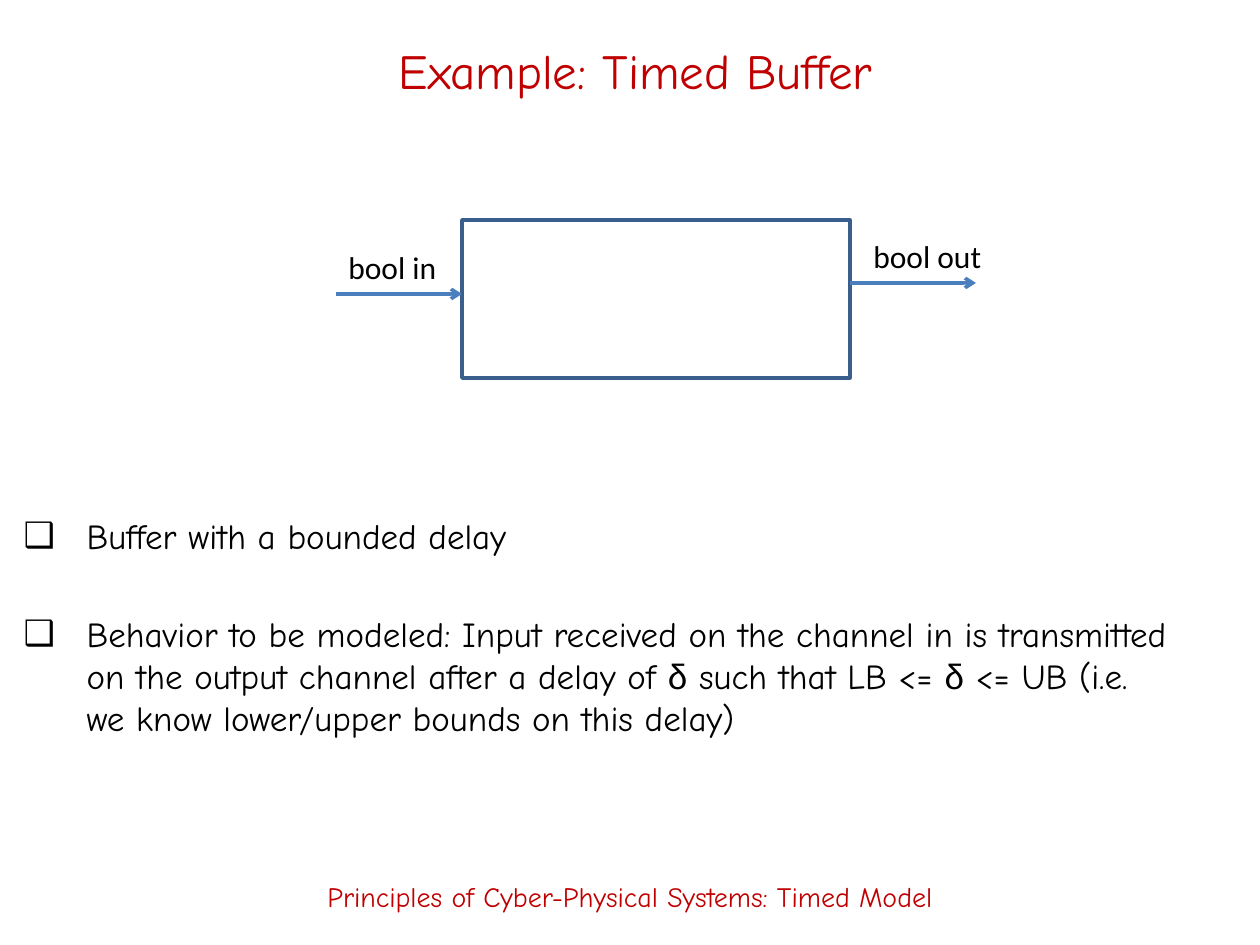
import pptx
import pptx.util
import pptx.dml.color
import pptx.enum.shapes
import pptx.enum.text
import pptx.oxml
import pptx.oxml.ns

TITLE = "Example: Timed Buffer"
FOOTER = "Principles of Cyber-Physical Systems: Timed Model"
BULLETS = [
    ["Buffer with a bounded delay"],
    [
        "Behavior to be modeled: Input received on the channel in is transmitted "
        "on the output channel after a delay of ",
        "δ",
        " such that LB <= ",
        "δ",
        " <= UB (i.e. we know lower/upper bounds on this delay)",
    ],
]
BUFFER = (462, 220, 388, 158)
ARROW_LENGTH = 126
PORTS = [
    {"label": "bool in", "arrow": (BUFFER[0] - ARROW_LENGTH, 294), "box": (336, 242, 115, 50)},
    {"label": "bool out", "arrow": (BUFFER[0] + BUFFER[2], 283), "box": (861, 231, 135, 50)},
]
THEME = {
    "accent": "C00000", "text": "000000", "outline": "3A5F8C", "arrow": "4B7EBC",
    "font": "Comic Neue", "label_font": "Calibri", "symbol_font": "Arial",
    "title": 28, "body": 20, "label": 18, "footer": 16, "line": 2,
    "bullet": "❑", "indent": 63, "bullet_gap": 32,
}
SCALE = 914400 // 126
MIDDLE = pptx.enum.text.MSO_ANCHOR.MIDDLE
CENTER = pptx.enum.text.PP_ALIGN.CENTER


def px(*lengths):
    return [pptx.util.Emu(length * SCALE) for length in lengths]


def color(name):
    return pptx.dml.color.RGBColor.from_string(THEME[name])


def style(span, size, font="font", ink="text"):
    span.font.size = pptx.util.Pt(THEME[size])
    span.font.name = THEME[font]
    span.font.color.rgb = color(ink)


def place(shape, area):
    shape.left, shape.top, shape.width, shape.height = px(*area)


def add_child(parent, tag, **attributes):
    child = pptx.oxml.parse_xml(f"<a:{tag} {pptx.oxml.ns.nsdecls('a')}/>")
    for name, value in attributes.items():
        child.set(name, str(value))
    parent.append(child)


def write_line(shape, text, size):
    frame = shape.text_frame
    frame.text = text
    frame.word_wrap = True
    frame.auto_size = pptx.enum.text.MSO_AUTO_SIZE.NONE
    frame.vertical_anchor = MIDDLE
    para = frame.paragraphs[0]
    para.alignment = CENTER
    style(para.runs[0], size, ink="accent")


def write_bullets(shape):
    frame = shape.text_frame
    frame.auto_size = pptx.enum.text.MSO_AUTO_SIZE.NONE
    for index, spans in enumerate(BULLETS):
        para = frame.paragraphs[0] if index == 0 else frame.add_paragraph()
        para.space_before = pptx.util.Pt(THEME["bullet_gap"] if index else 0)
        properties = para._p.get_or_add_pPr()
        indent = THEME["indent"] * SCALE
        properties.set("marL", str(indent))
        properties.set("indent", str(-indent))
        add_child(properties, "buChar", char=THEME["bullet"])
        for text in spans:
            span = para.add_run()
            span.text = text
            style(span, "body", "symbol_font" if text == "δ" else "font")


def add_port(page, port):
    left, top = port["arrow"]
    arrow = page.shapes.add_connector(
        pptx.enum.shapes.MSO_CONNECTOR.STRAIGHT, *px(left, top, left + ARROW_LENGTH, top))
    arrow.line.color.rgb = color("arrow")
    arrow.line.width = pptx.util.Pt(THEME["line"])
    add_child(arrow.line._get_or_add_ln(), "tailEnd", type="arrow")
    add_child(arrow._element.spPr, "effectLst")
    box = page.shapes.add_textbox(*px(*port["box"]))
    box.text_frame.word_wrap = False
    box.text_frame.text = port["label"]
    style(box.text_frame.paragraphs[0].runs[0], "label", "label_font")


def main():
    deck = pptx.Presentation()
    deck.slide_width, deck.slide_height = px(1260, 945)
    page = deck.slides.add_slide(deck.slide_layouts[1])

    title, body = page.placeholders
    place(title, (95, 21, 1081, 98))
    write_line(title, TITLE, "title")
    place(body, (11, 508, 1176, 363))
    write_bullets(body)

    buffer = page.shapes.add_shape(pptx.enum.shapes.MSO_SHAPE.RECTANGLE, *px(*BUFFER))
    buffer.shadow.inherit = False
    buffer.fill.background()
    buffer.line.color.rgb = color("outline")
    buffer.line.width = pptx.util.Pt(THEME["line"])
    for port in PORTS:
        add_port(page, port)

    footer = page.shapes.add_textbox(*px(0, 847, 1260, 98))
    write_line(footer, FOOTER, "footer")
    deck.save("out.pptx")


if __name__ == "__main__":
    main()
